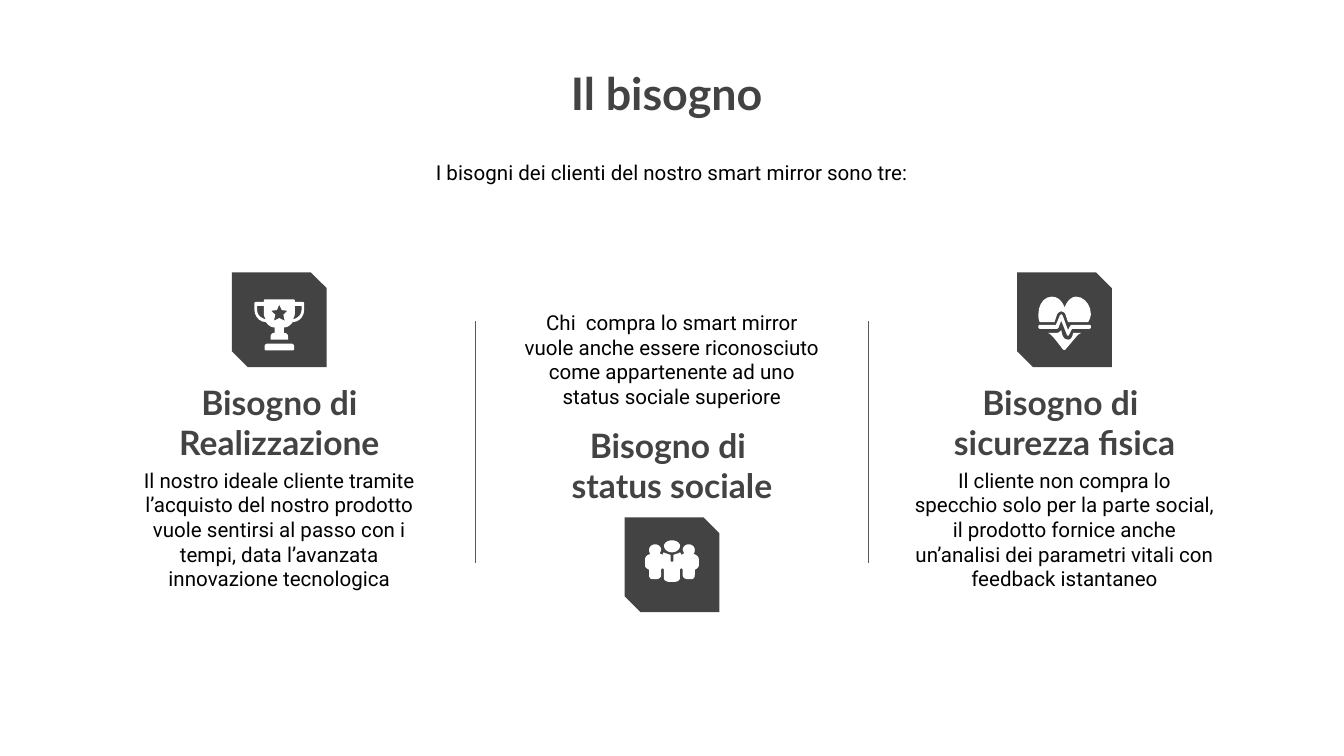
import pptx
import pptx.util
import pptx.dml.color
import pptx.enum.shapes
import pptx.enum.text
import lxml.etree

Cm = pptx.util.Cm
COLORS = {"dark": "434343", "text": "000000", "rule": "595959", "icon": "FFFFFF"}
HUNDREDTH_INCH = 0.0254
CENTER = 12.7
COLUMN_GAP = 7.42
TILE = 1.79


def rgb(name):
    return pptx.dml.color.RGBColor.from_string(COLORS[name])


def write(sp, text, size=11, font="Roboto", color="text", bold=False, anchor="TOP"):
    tf = sp.text_frame
    tf.word_wrap = True
    tf.auto_size = pptx.enum.text.MSO_AUTO_SIZE.NONE
    tf.vertical_anchor = pptx.enum.text.MSO_ANCHOR[anchor]
    tf.margin_left = tf.margin_right = tf.margin_top = tf.margin_bottom = Cm(0.25)
    p = tf.paragraphs[0]
    p.text = text
    p.alignment = pptx.enum.text.PP_ALIGN.CENTER
    for r in p.runs:
        r.font.size = pptx.util.Pt(size)
        r.font.name = font
        r.font.bold = bold
        r.font.color.rgb = rgb(color)


def outline(steps):
    points = []
    for step in steps:
        if len(step) == 2:
            points.append(step)
            continue
        x0, y0 = points[-1]
        x1, y1, x2, y2, x3, y3 = step
        for t in (0.2, 0.4, 0.6, 0.8, 1):
            u = 1 - t
            points.append((
                u**3 * x0 + 3 * u * u * t * x1 + 3 * u * t * t * x2 + t**3 * x3,
                u**3 * y0 + 3 * u * u * t * y1 + 3 * u * t * t * y2 + t**3 * y3,
            ))
    return points


def flip(points):
    return [(-x, y) for x, y in reversed(points)]


def symmetric(steps):
    half = outline(steps)
    return half + flip(half)


HANDLE = outline([(11.5, 25), (16.5, 25), (16.5, 28), (16.5, 32, 13.5, 34, 10, 35),
                  (11, 33.5, 11.5, 32, 11.5, 31)])
TROPHY = [
    [symmetric([(0, 53), (9, 53), (10, 53, 11, 54, 11, 55), (11, 57),
                (11, 57.5, 10.5, 58, 10, 58), (0, 58)])],
    [symmetric([(0, 20), (10.5, 20), (11, 20, 11.5, 20.5, 11.5, 21), (11.5, 22),
                (17.5, 22), (18, 22, 18.5, 22.5, 18.5, 23), (18.5, 28),
                (18.5, 33, 14.5, 37, 10, 37), (8.5, 39, 6.5, 41, 3.5, 41), (3.5, 45),
                (5.5, 45, 6.5, 46, 6.5, 48), (6.5, 50), (0, 50)]),
     symmetric([(0, 24), (1.8, 28), (6, 28.6), (3, 31.5), (4, 36), (0, 34)]),
     HANDLE, flip(HANDLE)],
]
PEOPLE = [
    [symmetric([(0, 17), (3, 17, 6, 19, 6, 21), (6, 24, 3, 26, 0, 26)])],
    [symmetric([(0, 33), (1, 33, 1, 33, 1, 32), (1, 28), (3, 27, 5, 27, 6, 26),
                (6, 26, 7, 27, 7, 28), (8, 27, 9, 27, 9, 27), (9, 26, 8, 25, 8, 24),
                (8, 22, 10, 20, 12.5, 20), (15, 20, 17, 22, 17, 24),
                (17, 25, 17, 26, 16, 27), (18, 28, 20, 29, 20, 31), (20, 36),
                (20, 37, 19, 38, 17, 39), (17, 43), (17, 45, 16, 46, 14, 46), (12, 46),
                (10, 46, 8, 45, 8, 43), (8, 39), (8, 38, 7, 38, 7, 38),
                (7, 38, 6, 38, 6, 39), (6, 45), (6, 47, 4, 48, 2, 48), (0, 48)])],
]
HEART = [
    [outline([(-2.5, 31), (-3.5, 32), (-6.5, 39), (-18.5, 39), (-20, 39, -20, 42, -18.5, 42),
              (-5.5, 42), (-4.5, 41), (-2.5, 36), (1.5, 46), (2, 47), (3, 47), (3.5, 46),
              (5.5, 42), (18.5, 42), (20, 42, 20, 39, 18.5, 39), (5, 39), (4, 40),
              (2.5, 43), (-1.5, 32)])],
    [outline([(-9.5, 18), (-15.5, 18, -19.5, 24, -19.5, 31), (-19.5, 33, -19.5, 35, -18.5, 37),
              (-7.5, 37), (-5.5, 31), (-5, 30, -3.5, 29, -2.5, 29), (-1.5, 29, 0.5, 30, 0.5, 31),
              (2.5, 37), (17.5, 37), (18.5, 35, 19.5, 33, 19.5, 31),
              (19.5, 24, 14.5, 18, 8.5, 18), (4.5, 18, 1.5, 22, 0, 26),
              (-1.5, 22, -4.5, 18, -9.5, 18)])],
    [outline([(-2.5, 43), (-3.5, 44, -4.5, 45, -5.5, 45), (-12.5, 45), (-10.5, 46),
              (-7.5, 49, -4.5, 53, -1.5, 57), (-0.5, 58, 0.5, 58, 1, 57),
              (4.5, 53, 7.5, 49, 10.5, 46), (12.5, 45), (6.5, 45), (5.5, 48),
              (4.5, 50, 3.5, 50, 2.5, 50), (0.5, 50, -0.5, 49, -1.5, 47)])],
]


class SlideBuilder:
    heading = {"font": "Lato", "color": "dark", "bold": True}

    def __init__(self, prs):
        self.s = prs.slides.add_slide(prs.slide_layouts[5])

    def title(self, text, left, top, width, height):
        sp = self.s.shapes.title
        sp.left, sp.top, sp.width, sp.height = Cm(left), Cm(top), Cm(width), Cm(height)
        write(sp, text, size=24, **self.heading)

    def text(self, text, center, top, width, height, **style):
        sp = self.s.shapes.add_textbox(Cm(center - width / 2), Cm(top), Cm(width), Cm(height))
        write(sp, text, **style)

    def rule(self, x, top, bottom):
        line = self.s.shapes.add_connector(
            pptx.enum.shapes.MSO_CONNECTOR.STRAIGHT, Cm(x), Cm(top), Cm(x), Cm(bottom))
        line.line.color.rgb = rgb("rule")
        line.line.width = pptx.util.Pt(0.75)
        lxml.etree.SubElement(line._element.spPr, pptx.oxml.ns.qn("a:effectLst"))

    def fill(self, sp, color):
        sp.shadow.inherit = False
        sp.fill.solid()
        sp.fill.fore_color.rgb = rgb(color)
        sp.line.fill.background()

    def tile(self, center, top):
        sp = self.s.shapes.add_shape(
            pptx.enum.shapes.MSO_SHAPE.SNIP_2_DIAG_RECTANGLE,
            Cm(center - TILE / 2), Cm(top), Cm(TILE), Cm(TILE))
        sp.adjustments[0] = 0
        sp.adjustments[1] = 0.167
        self.fill(sp, "dark")

    def icon(self, parts, center, top):
        for contours in parts:
            placed = [[(Cm(center + x * HUNDREDTH_INCH), Cm(top + y * HUNDREDTH_INCH))
                       for x, y in contour] for contour in contours]
            builder = self.s.shapes.build_freeform(*placed[0][0])
            builder.add_line_segments(placed[0][1:], close=True)
            for contour in placed[1:]:
                builder.move_to(*contour[0])
                builder.add_line_segments(contour[1:], close=True)
            self.fill(builder.convert_to_shape(), "icon")


NEEDS = [
    ("Bisogno di\nRealizzazione",
     "Il nostro ideale cliente tramite l’acquisto del nostro prodotto vuole sentirsi "
     "al passo con i tempi, data l’avanzata innovazione tecnologica", 5.69, TROPHY),
    ("Bisogno di \nstatus sociale",
     "Chi  compra lo smart mirror vuole anche essere riconosciuto come appartenente "
     "ad uno status sociale superiore", 6.17, PEOPLE),
    ("Bisogno di \nsicurezza fisica",
     "Il cliente non compra lo specchio solo per la parte social, il prodotto fornice "
     "anche un’analisi dei parametri vitali con feedback istantaneo", 6.17, HEART),
]
ICON_ABOVE = (7.8, 8.59, 5.15)
ICON_BELOW = (8.61, 5.61, 9.78)


def main():
    prs = pptx.Presentation()
    prs.slide_width, prs.slide_height = Cm(25.4), Cm(14.29)
    b = SlideBuilder(prs)
    b.title("Il bisogno", 5.36, 0.99, 14.48, 2.62)
    b.text("I bisogni dei clienti del nostro smart mirror sono tre:", CENTER, 2.77, 15.39, 1)
    for i, (name, body, width, icon) in enumerate(NEEDS):
        center = CENTER + (i - 1) * COLUMN_GAP
        name_top, body_top, tile_top = ICON_BELOW if i == 1 else ICON_ABOVE
        b.text(name, center, name_top, COLUMN_GAP, 1.19, size=18, anchor="BOTTOM", **b.heading)
        b.text(body, center, body_top, width, 2.79)
        b.tile(center, tile_top)
        b.icon(icon, center, tile_top)
    for side in (-1, 1):
        b.rule(CENTER + side * COLUMN_GAP / 2, 6.07, 10.64)
    prs.save("out.pptx")


if __name__ == "__main__":
    main()
